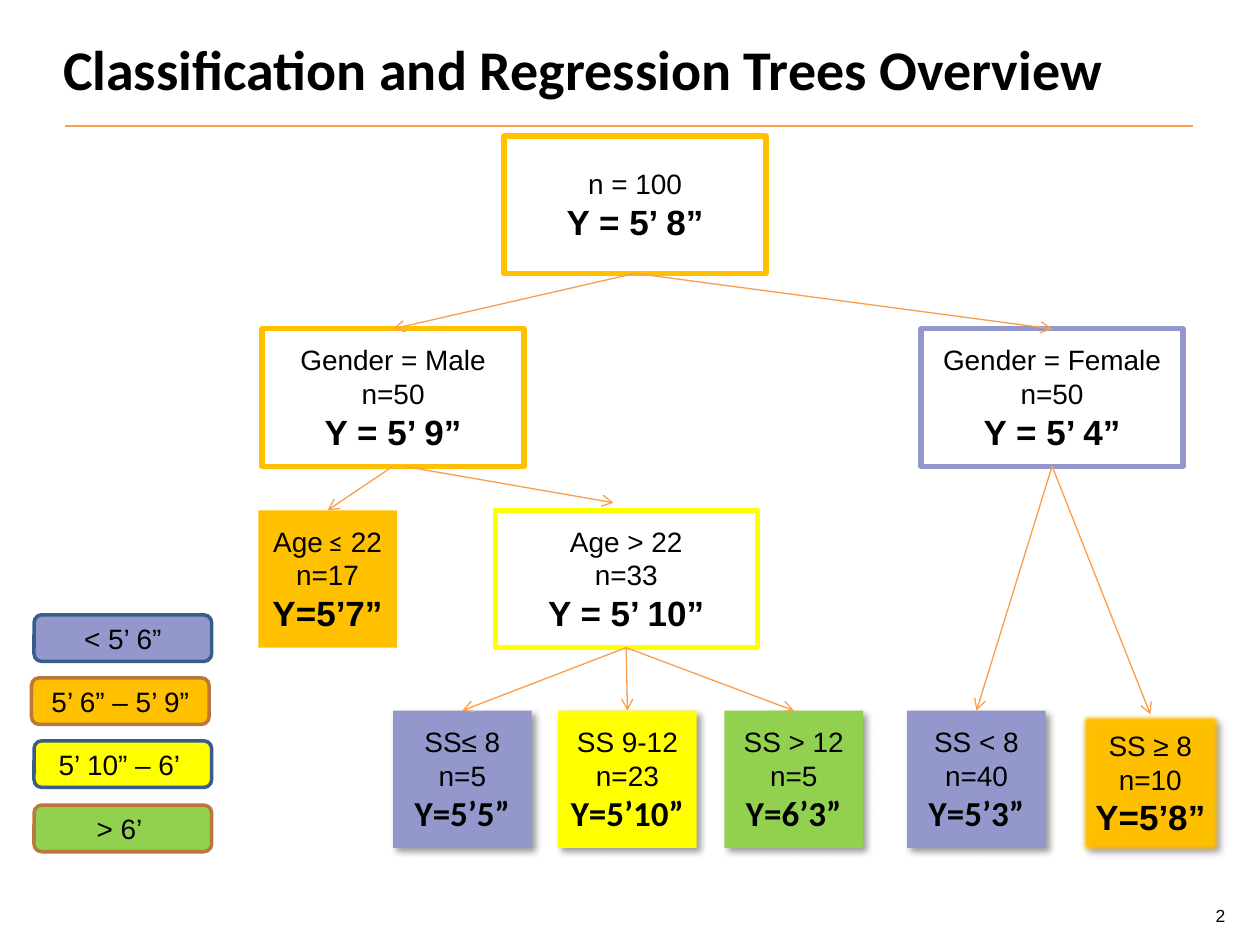
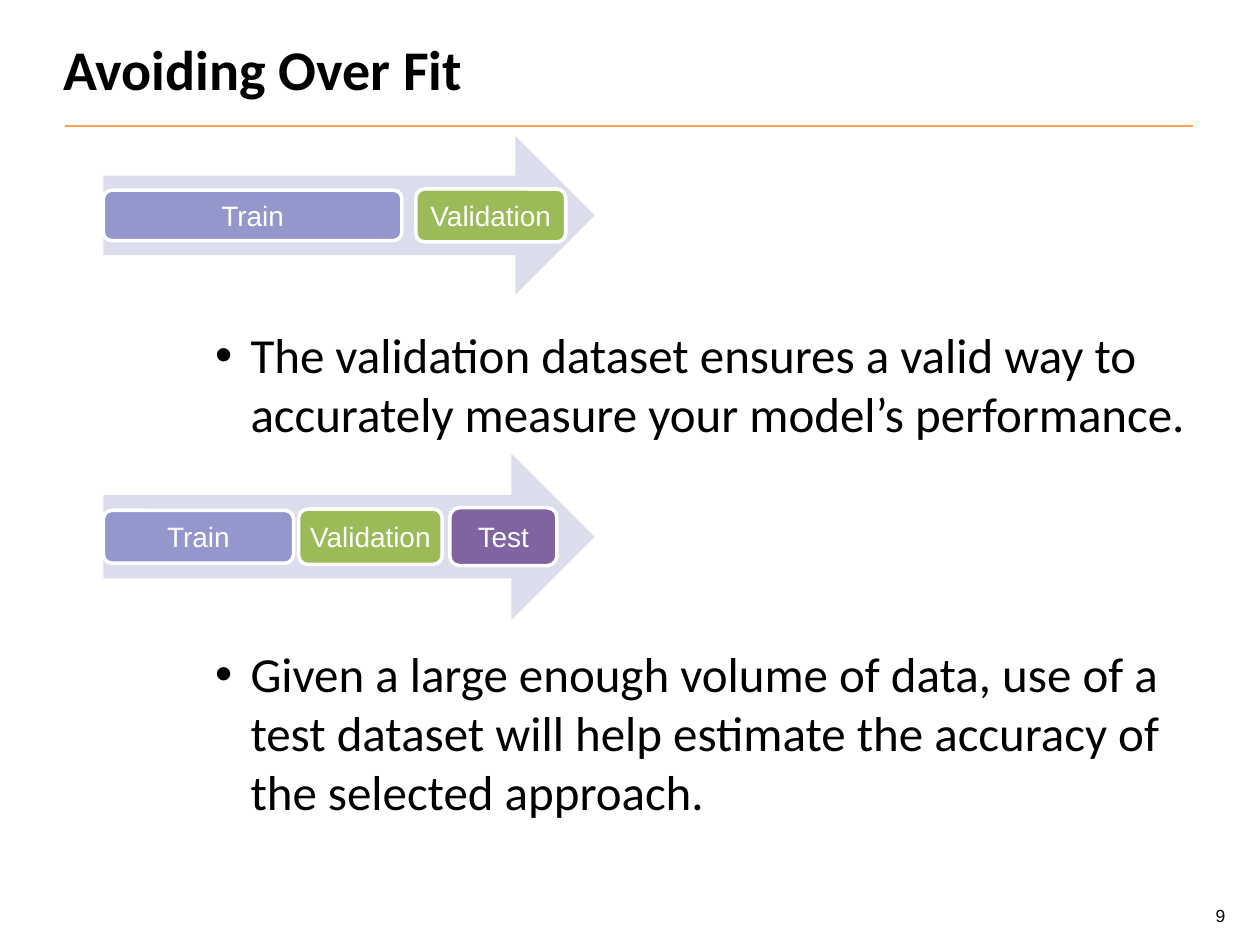
from lxml.etree import SubElement as Sub
from pptx import Presentation
from pptx.dml.color import RGBColor
from pptx.enum.shapes import MSO_CONNECTOR as Conn, MSO_SHAPE as Form
from pptx.enum.text import MSO_ANCHOR as Anchor, PP_ALIGN as Align
from pptx.oxml.ns import qn
from pptx.util import Inches, Pt

# Shared colours
BLACK, WHITE = "000000", "FFFFFF"
LILAC, AMBER, YELLOW, GREEN = "9497CC", "FFC000", "FFFF00", "92D050"
NAVY, BROWN = "385D8A", "BA783D"
RULE, ARROW = "FBA252", "FA9E4C"
PALE, OLIVE, PURPLE = "DCDDEC", "9BBB59", "8064A2"

# Shared text formats
TITLE = {"name": "Calibri", "size": Pt(32), "bold": True}
BODY = {"name": "Calibri", "size": Pt(28)}
LABEL = {"name": "Arial", "size": Pt(16)}
VALUE = {"name": "Arial", "size": Pt(20), "bold": True}
PAGE = {"name": "Arial", "size": Pt(10)}

# Tree sizes
TALL, WIDE, SMALL = 1.09, 2.08, 1.1
LEAF_TOP = 5.64


def paint(color, hue):
    color.rgb = RGBColor.from_string(hue)


def inch(*sizes):
    return [Inches(size) for size in sizes]


def add_run(para, text, style, hue=BLACK):
    run = para.add_run()
    run.text = text
    for key, val in style.items():
        setattr(run.font, key, val)
    paint(run.font.color, hue)


def pad(frame, side, end=0.05):
    sizes = {"margin_left": side, "margin_right": side,
             "margin_top": end, "margin_bottom": end}
    for key, val in sizes.items():
        setattr(frame, key, Inches(val))
    frame.word_wrap = True


def add_text(slide, box):
    frame = slide.shapes.add_textbox(*inch(*box)).text_frame
    pad(frame, 0.1)
    return frame.paragraphs[0]


def add_box(slide, form, box, fill, edge=None, width=2):
    shape = slide.shapes.add_shape(form, *inch(*box))
    shape.shadow.inherit = False
    shape.fill.solid()
    paint(shape.fill.fore_color, fill)
    if edge:
        paint(shape.line.color, edge)
        shape.line.width = Pt(width)
    else:
        shape.line.fill.background()
    return shape


def fill_in(shape, lines, hue=BLACK):
    """Centre lines in a shape; each line is a list of (text, style)."""
    frame = shape.text_frame
    pad(frame, 0.03)
    frame.vertical_anchor = Anchor.MIDDLE
    for num, line in enumerate(lines):
        para = frame.add_paragraph() if num else frame.paragraphs[0]
        para.alignment = Align.CENTER
        for text, style in line:
            add_run(para, text, style, hue)


def add_line(slide, start, end, hue, width):
    line = slide.shapes.add_connector(Conn.STRAIGHT, *inch(*start, *end))
    paint(line.line.color, hue)
    line.line.width = Pt(width)
    Sub(line._element.spPr, qn("a:effectLst"))
    return line


def add_arrow(slide, start, end):
    line = add_line(slide, start, end, ARROW, 0.75)
    Sub(line.line._get_or_add_ln(), qn("a:tailEnd"), type="arrow")
    return line


def link(slide, top, low):
    line = add_arrow(slide, (0, 0), (1, 1))
    line.begin_connect(top, 2)
    line.end_connect(low, 0)


def add_shade(shape, soft=False):
    effects = shape._element.spPr.find(qn("a:effectLst"))
    shade = Sub(effects, qn("a:outerShdw"), blurRad=str(Pt(4)), dist=str(Pt(3)),
                dir="2700000", algn="tl", rotWithShape="0")
    color = Sub(shade, qn("a:srgbClr"), val=BLACK)
    Sub(color, qn("a:alpha"), val="40000")
    if soft:
        Sub(effects, qn("a:softEdge"), rad=str(Pt(2.5)))


def add_node(slide, box, lines, value, fill=WHITE, edge=None, width=3, font="Arial"):
    shape = add_box(slide, Form.RECTANGLE, box, fill, edge, width)
    rows = [[(line, LABEL)] if isinstance(line, str) else line for line in lines]
    fill_in(shape, rows + [[(value, {**VALUE, "name": font})]])
    return shape


def add_bullet(slide, top, height, text):
    para = add_text(slide, (0.61, top, 9.22, height))
    props = para._p.get_or_add_pPr()
    props.set("marL", str(Inches(1.28)))
    props.set("indent", str(Inches(-0.28)))
    Sub(props, qn("a:buFont"), typeface="Arial")
    Sub(props, qn("a:buChar"), char="•")
    add_run(para, text, BODY)


def add_flow(slide, top, height, parts):
    """Draw a wide arrow with the data parts along its middle."""
    add_box(slide, Form.RIGHT_ARROW, (0.82, top, 3.9, height), PALE)
    for text, left, width, tall, fill in parts:
        box = (left, top + (height - tall) / 2, width, tall)
        shape = add_box(slide, Form.ROUNDED_RECTANGLE, box, fill, WHITE)
        fill_in(shape, [[(text, LABEL)]], WHITE)


def start(deck, text, page):
    """Add a slide with its title, rule and page number."""
    slide = deck.slides.add_slide(deck.slide_layouts[5])
    title = slide.shapes.title
    title.left, title.top, title.width, title.height = inch(0.4, 0.22, 9.15, 0.64)
    pad(title.text_frame, 0.1)
    title.text_frame.vertical_anchor = Anchor.TOP
    head = title.text_frame.paragraphs[0]
    head.alignment = Align.LEFT
    add_run(head, text, TITLE)
    add_line(slide, (0.52, 1), (9.47, 1), RULE, 1)
    para = add_text(slide, (9.55, 7.05, 0.37, 0.34))
    para.line_spacing, para.space_before = 1.5, Pt(6)
    add_run(para, page, PAGE)
    return slide


def draw_tree(deck):
    slide = start(deck, "Classification and Regression Trees Overview", "2")

    # Branches
    root = add_node(slide, (4, 1.08, WIDE, TALL), ["n = 100"], "Y = 5’ 8”", edge=AMBER)
    male = add_node(slide, (2.08, 2.61, WIDE, TALL), ["Gender = Male", "n=50"],
                    "Y = 5’ 9”", edge=AMBER)
    female = add_node(slide, (7.31, 2.61, WIDE, TALL), ["Gender = Female", "n=50"],
                      "Y = 5’ 4”", edge=LILAC)
    older = add_node(slide, (3.93, 4.05, WIDE, TALL), ["Age > 22", "n=33"],
                     "Y = 5’ 10”", edge=YELLOW)

    # Leaves
    age = [("Age", LABEL), (" ≤", {**LABEL, "name": "Calibri"}), (" 22", LABEL)]
    young = add_node(slide, (2.05, 4.05, SMALL, TALL), [age, "n=17"], "Y=5’7”", AMBER)
    leaves = [
        (older, 3.12, "SS≤ 8", "n=5", "Y=5’5”", LILAC),
        (older, 4.43, "SS 9-12", "n=23", "Y=5’10”", YELLOW),
        (older, 5.75, "SS > 12", "n=5", "Y=6’3”", GREEN),
        (female, 7.2, "SS < 8", "n=40", "Y=5’3”", LILAC),
    ]
    for top, left, rule, count, value, fill in leaves:
        leaf = add_node(slide, (left, LEAF_TOP, SMALL, TALL), [rule, count], value,
                        fill, font="Calibri")
        add_shade(leaf)
        link(slide, top, leaf)
    last = add_node(slide, (8.58, 5.67, SMALL, TALL), ["SS ≥ 8", "n=10"], "Y=5’8”",
                    AMBER, BROWN, 2)
    add_shade(last, soft=True)

    # Upper arrows
    for top, low in ((root, male), (root, female), (male, young), (female, last)):
        link(slide, top, low)
    add_arrow(slide, (3.2, 3.7), (4.87, 3.99))

    # Height key
    keys = [
        (0.27, 4.88, "< 5’ 6”", LILAC, NAVY),
        (0.25, 5.38, "5’ 6” – 5’ 9”", AMBER, BROWN),
        (0.27, 5.88, "5’ 10” – 6’ ", YELLOW, NAVY),
        (0.27, 6.39, "> 6’ ", GREEN, BROWN),
    ]
    for left, top, text, fill, edge in keys:
        key = add_box(slide, Form.ROUNDED_RECTANGLE, (left, top, 1.41, 0.37), fill, edge)
        fill_in(key, [[(text, LABEL)]])


def draw_fit(deck):
    slide = start(deck, "Avoiding Over Fit", "9")

    # Two-way split
    add_flow(slide, 1.08, 1.26, [
        ("Train", 0.82, 2.37, 0.4, LILAC),
        ("Validation", 3.3, 1.19, 0.42, OLIVE),
    ])
    add_bullet(slide, 2.53, 1.05, "The validation dataset ensures a valid way to "
               "accurately measure your model’s performance.")

    # Three-way split
    add_flow(slide, 3.6, 1.32, [
        ("Train", 0.82, 1.51, 0.42, LILAC),
        ("Validation", 2.37, 1.14, 0.44, OLIVE),
        ("Test", 3.57, 0.85, 0.46, PURPLE),
    ])
    add_bullet(slide, 5.06, 1.52, "Given a large enough volume of data, use of a test "
               "dataset will help estimate the accuracy of the selected approach.")


def main():
    deck = Presentation()
    deck.slide_width, deck.slide_height = inch(10, 7.5)
    draw_tree(deck)
    draw_fit(deck)
    deck.save("out.pptx")


if __name__ == "__main__":
    main()
